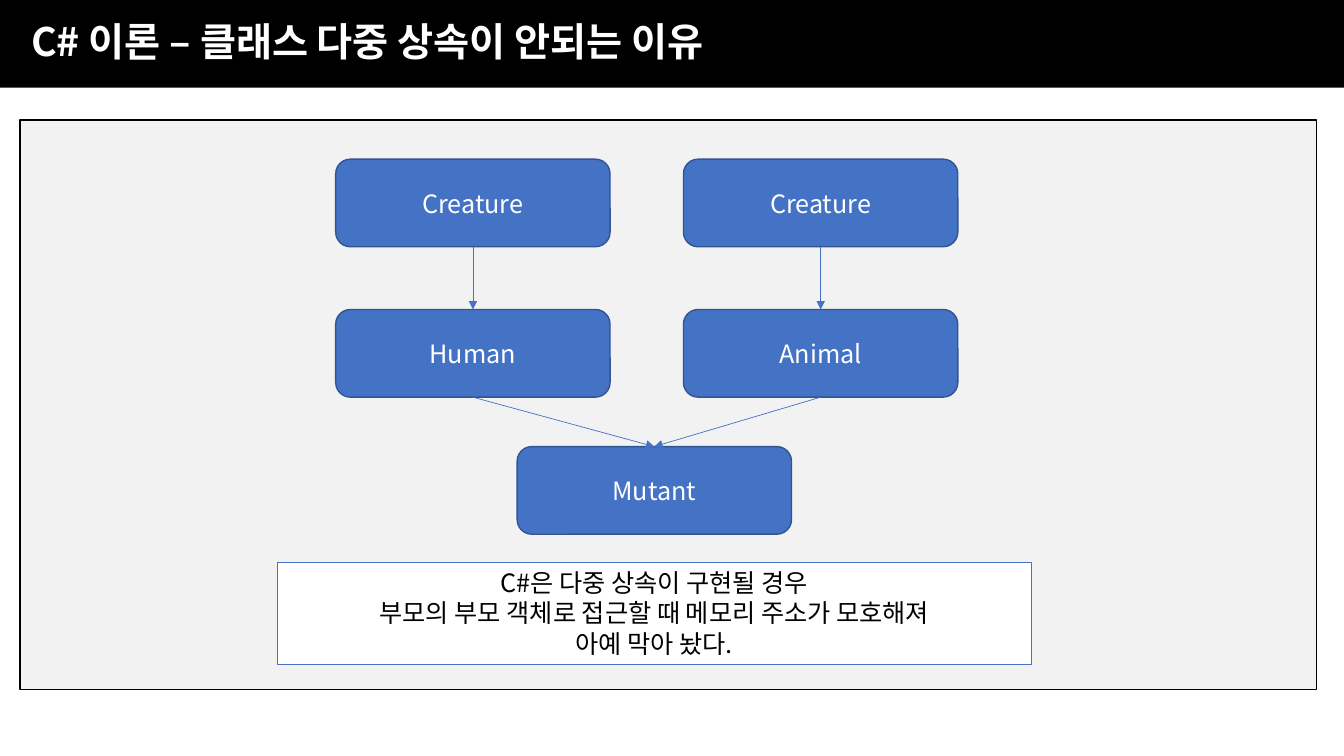
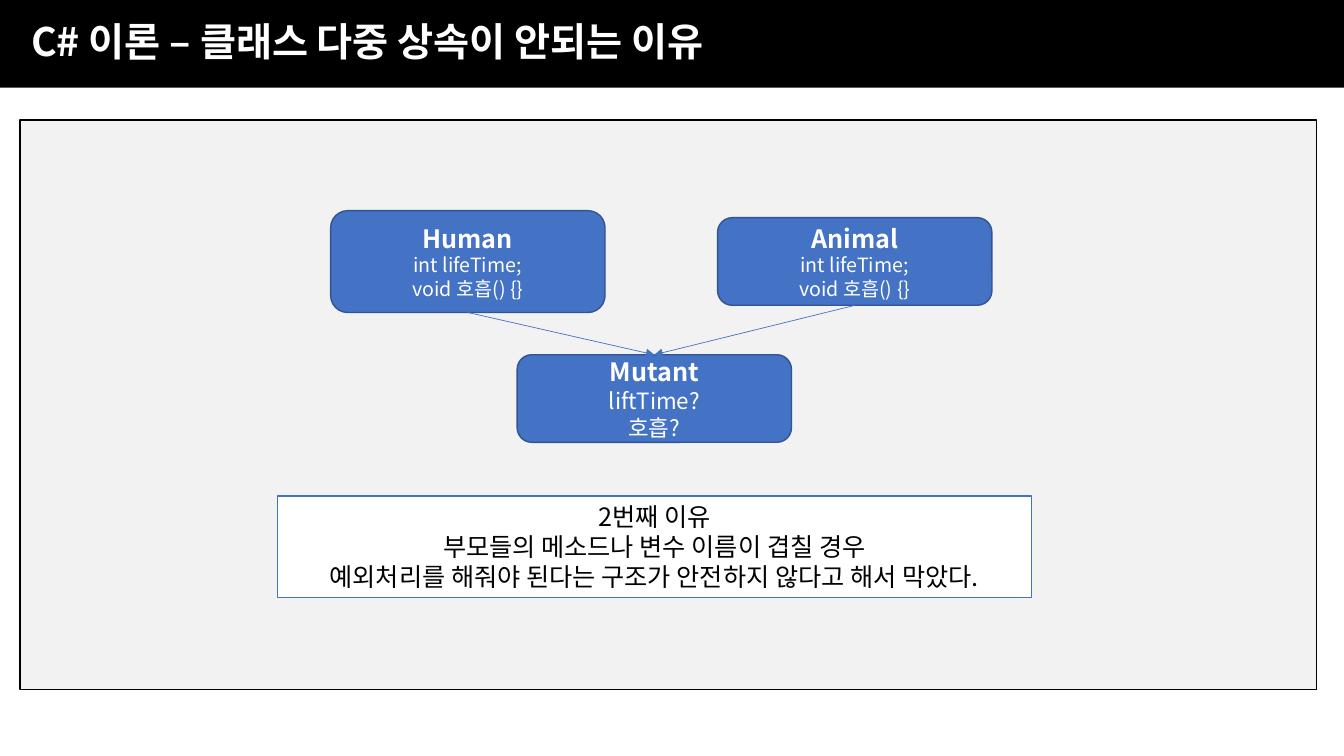
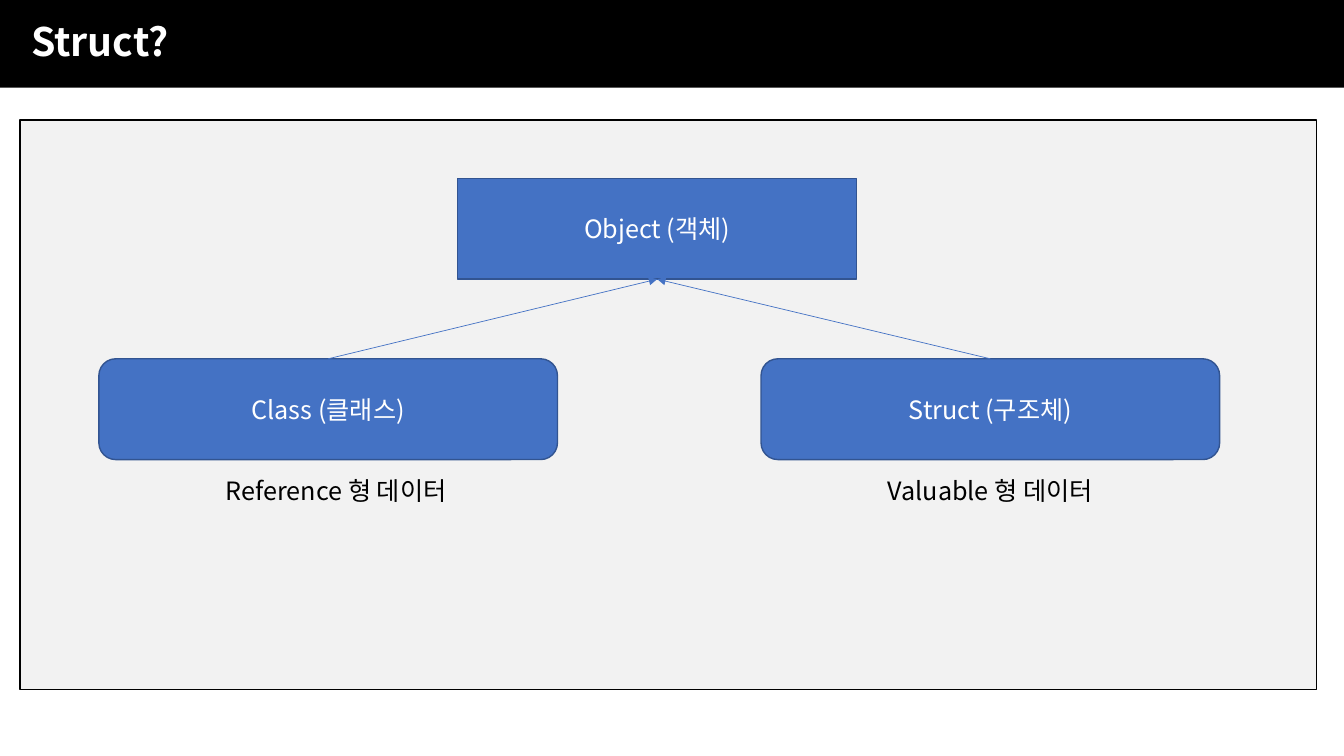
from collections import namedtuple

from lxml.etree import SubElement
from pptx import Presentation
from pptx.dml.color import RGBColor
from pptx.enum.shapes import MSO_CONNECTOR as LINE, MSO_SHAPE as SHAPE
from pptx.enum.text import MSO_ANCHOR as ANCHOR, PP_ALIGN as ALIGN
from pptx.oxml.ns import qn
from pptx.util import Pt

COLORS = {
    "black": "000000",
    "white": "FFFFFF",
    "panel": "F2F2F2",
    "blue": "4472C4",
    "edge": "325491",
}
FONT = "Noto Sans CJK KR"
TOP, BOTTOM = 0, 2
NODE_W, NODE_H = 196, 62.6
NOTE_W, NOTE_H = 538.6, 72.7

Box = namedtuple("Box", "x y w h")
HEADER = Box(0, 0, 960, 62.6)
PANEL = Box(14.4, 85.7, 925.9, 406.8)


def color(name):
    return RGBColor.from_string(COLORS[name])


def inside(area, x, y, w, h):
    return Box(area.x + x, area.y + y, w, h)


def points(box):
    return [Pt(round(v, 2)) for v in box]


def write(tf, lines, ink, align=ALIGN.CENTER):
    for i, (text, size, bold) in enumerate(lines):
        p = tf.paragraphs[0] if i == 0 else tf.add_paragraph()
        p.text = text
        p.alignment = align
        p.font.name = FONT
        p.font.size = Pt(size)
        p.font.bold = bold
        p.font.color.rgb = color(ink)
        props = p._p.pPr.find(qn("a:defRPr"))
        SubElement(props, qn("a:ea")).set("typeface", FONT)


def add_box(s, box, kind, fill, edge=None):
    sp = s.shapes.add_shape(kind, *points(box))
    sp.shadow.inherit = False
    sp.fill.solid()
    sp.fill.fore_color.rgb = color(fill)
    if edge:
        sp.line.color.rgb = color(edge)
        sp.line.width = Pt(1)
    else:
        sp.line.fill.background()
    return sp


def add_node(s, box, lines, kind=SHAPE.ROUNDED_RECTANGLE):
    sp = add_box(s, box, kind, "blue", "edge")
    sp.text_frame.vertical_anchor = ANCHOR.MIDDLE
    write(sp.text_frame, lines, "white")
    return sp


def add_arrow(s, start, start_site, end, end_site):
    c = s.shapes.add_connector(LINE.STRAIGHT, 0, 0, 0, 0)
    c.begin_connect(start, start_site)
    c.end_connect(end, end_site)
    c.line.color.rgb = color("blue")
    c.line.width = Pt(0.5)
    SubElement(c.line._get_or_add_ln(), qn("a:tailEnd")).set("type", "triangle")
    SubElement(c._element.spPr, qn("a:effectLst"))


def add_note(s, box, lines):
    sp = add_box(s, box, SHAPE.RECTANGLE, "white", "blue")
    sp.text_frame.vertical_anchor = ANCHOR.TOP
    write(sp.text_frame, [(line, 18, False) for line in lines], "black")


def add_caption(s, box, text):
    tf = s.shapes.add_textbox(*points(box)).text_frame
    tf.word_wrap = False
    write(tf, [(text, 18, False)], "black")


def add_header(s, box, title):
    tf = add_box(s, box, SHAPE.RECTANGLE, "black").text_frame
    tf.vertical_anchor = ANCHOR.MIDDLE
    tf.margin_left = Pt(22.3)
    write(tf, [(title, 28, True)], "white", ALIGN.LEFT)
    p = tf.paragraphs[0]
    p.line_spacing = 0.9
    p.space_before = Pt(10)


def add_slide(prs, title):
    s = prs.slides.add_slide(prs.slide_layouts[6])
    add_box(s, PANEL, SHAPE.RECTANGLE, "panel", "black")
    add_header(s, HEADER, title)
    return s


def add_ancestor_diagram(s, area):
    parents = []
    for x, name in ((225.4, "Human"), (473.8, "Animal")):
        top, parent = (
            add_node(s, inside(area, x, y, NODE_W, NODE_H), [(text, 18, False)])
            for y, text in ((28, "Creature"), (135.4, name))
        )
        add_arrow(s, top, BOTTOM, parent, TOP)
        parents.append(parent)
    mutant = add_node(s, inside(area, 355, 233.3, NODE_W, NODE_H), [("Mutant", 18, False)])
    for parent in parents:
        add_arrow(s, parent, BOTTOM, mutant, TOP)
    add_note(s, inside(area, 183.6, 316.1, NOTE_W, NOTE_H), [
        "C#은 다중 상속이 구현될 경우",
        "부모의 부모 객체로 접근할 때 메모리 주소가 모호해져",
        "아예 막아 놨다.",
    ])


def add_member_diagram(s, area):
    mutant = add_node(s, inside(area, 355, 167.7, NODE_W, NODE_H), [
        ("Mutant", 18, True), ("liftTime?", 16, False), ("호흡?", 16, False),
    ])
    members = [("int lifeTime;", 14, False), ("void 호흡() {}", 14, False)]
    for name, x, y, h in (("Human", 221.8, 64.8, 72.7), ("Animal", 498.2, 69.8, NODE_H)):
        parent = add_node(s, inside(area, x, y, NODE_W, h), [(name, 18, True), *members])
        add_arrow(s, parent, BOTTOM, mutant, TOP)
    add_note(s, inside(area, 183.6, 268.5, NOTE_W, NOTE_H), [
        "2번째 이유",
        "부모들의 메소드나 변수 이름이 겹칠 경우",
        "예외처리를 해줘야 된다는 구조가 안전하지 않다고 해서 막았다.",
    ])


def add_type_diagram(s, area):
    root = add_node(s, inside(area, 312.5, 41.7, 285.1, 72),
                    [("Object (객체)", 18, False)], SHAPE.RECTANGLE)
    kinds = (
        (56.2, "Class (클래스)", 135.4, 180.7, "Reference 형 데이터"),
        (529.2, "Struct (구조체)", 608.4, 169.2, "Valuable 형 데이터"),
    )
    for x, name, caption_x, caption_w, caption in kinds:
        node = add_node(s, inside(area, x, 170.6, 327.6, 72), [(name, 18, False)])
        add_arrow(s, node, TOP, root, BOTTOM)
        add_caption(s, inside(area, caption_x, 250.5, caption_w, 29), caption)


def main():
    prs = Presentation()
    prs.slide_width, prs.slide_height = Pt(960), Pt(540)
    inheritance = "C# 이론 – 클래스 다중 상속이 안되는 이유"
    slides = (
        (inheritance, add_ancestor_diagram),
        (inheritance, add_member_diagram),
        ("Struct?", add_type_diagram),
    )
    for title, add_diagram in slides:
        add_diagram(add_slide(prs, title), PANEL)
    prs.save("out.pptx")


if __name__ == "__main__":
    main()
